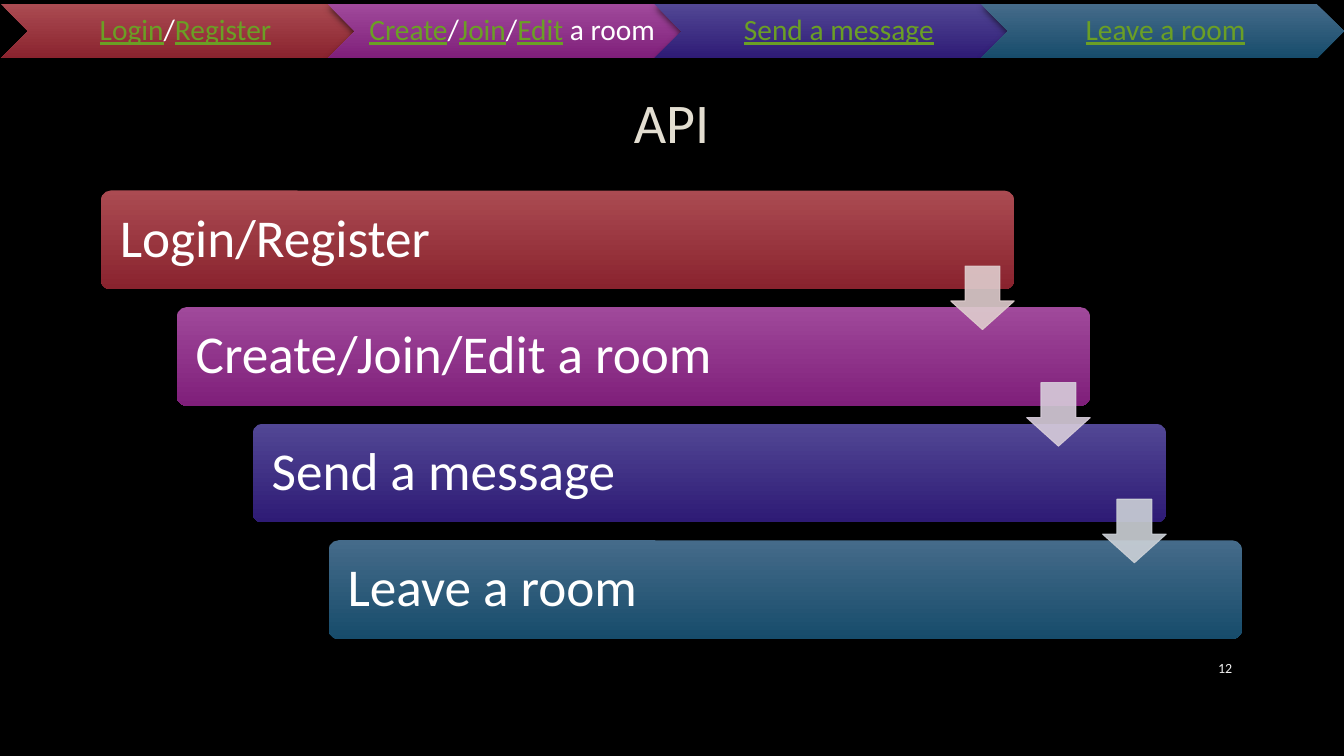
import pptx
import pptx.util
import pptx.dml.color
import pptx.enum.shapes
import pptx.enum.text
import pptx.oxml
import pptx.oxml.ns

Inches, Pt = pptx.util.Inches, pptx.util.Pt
SHAPE = pptx.enum.shapes.MSO_SHAPE
ALIGN = pptx.enum.text.PP_ALIGN
MIDDLE = pptx.enum.text.MSO_ANCHOR.MIDDLE
NS = pptx.oxml.ns.nsdecls("a")

COLORS = {
    "background": "000000", "title": "E3DED1", "outline": "404040",
    "number": "F2F2F2", "text": "FFFFFF", "link": "6B9F25",
}
# label pieces (text, is link), gradient top, gradient bottom, arrow colour
STEPS = [
    ([("Login", True), ("/", False), ("Register", True)],
     "AB4B52", "89232E", "DFCDCE"),
    ([("Create", True), ("/", False), ("Join", True), ("/", False),
      ("Edit", True), (" a room", False)], "A0499B", "7F1F7A", "D8CDDB"),
    ([("Send a message", True)], "524795", "2E1B75", "CCD1D7"),
    ([("Leave a room", True)], "456B8A", "174C6B", None),
]


def rgb(value):
    return pptx.dml.color.RGBColor.from_string(value)


class SlideBuilder:
    font = "Calibri"

    def __init__(self, prs):
        self.slide = prs.slides.add_slide(prs.slide_layouts[5])
        fill = self.slide.background.fill
        fill.solid()
        fill.fore_color.rgb = rgb(COLORS["background"])

    def group(self):
        return self.slide.shapes.add_group_shape().shapes

    def set_text(self, sp, pieces, size, align, insets=(0.1, 0.05, 0.1, 0.05), spacing=1.0):
        """Fill sp with one paragraph of (text, colour, underline) pieces."""
        tf = sp.text_frame
        left, top, right, bottom = map(Inches, insets)
        frame = {"word_wrap": True, "vertical_anchor": MIDDLE, "margin_left": left,
                 "margin_top": top, "margin_right": right, "margin_bottom": bottom}
        for name, value in frame.items():
            setattr(tf, name, value)
        p = tf.paragraphs[0]
        p.alignment, p.line_spacing = align, spacing
        for text, color, underline in pieces:
            r = p.add_run()
            r.text = text
            for name, value in {"name": self.font, "size": Pt(size),
                                "underline": underline}.items():
                setattr(r.font, name, value)
            r.font.color.rgb = rgb(color)
        return p

    def title(self, text, box):
        sp = self.slide.shapes.title
        sp.left, sp.top, sp.width, sp.height = map(Inches, box)
        p = self.set_text(sp, [(text, COLORS["title"], False)], 40, ALIGN.CENTER)
        p.runs[0].font._element.insert(0, pptx.oxml.parse_xml(
            f'<a:ln {NS} w="9525"><a:solidFill><a:srgbClr val="{COLORS["outline"]}">'
            '<a:alpha val="10000"/></a:srgbClr></a:solidFill></a:ln>'))

    def number(self, text, box):
        sp = self.slide.shapes.add_textbox(*map(Inches, box))
        self.set_text(sp, [(text, COLORS["number"], False)], 10, ALIGN.RIGHT)

    def gradient_shape(self, shapes, kind, box, top, bottom):
        sp = shapes.add_shape(kind, *map(Inches, box))
        sp.fill.gradient()
        sp.fill.gradient_angle = 270
        for stop, color, position in zip(sp.fill.gradient_stops, (top, bottom), (0, 1)):
            stop.color.rgb, stop.position = rgb(color), position
        sp.line.fill.background()
        sp._element.spPr.append(pptx.oxml.parse_xml(
            f'<a:effectLst {NS}><a:outerShdw blurRad="63500" dist="25400" dir="5400000" '
            'rotWithShape="0"><a:srgbClr val="000000"><a:alpha val="60000"/></a:srgbClr>'
            '</a:outerShdw></a:effectLst>'))
        return sp

    def bar(self, shapes, text, box, top, bottom):
        sp = self.gradient_shape(shapes, SHAPE.ROUNDED_RECTANGLE, box, top, bottom)
        sp.adjustments[0] = 0.1
        self.set_text(sp, [(text, COLORS["text"], False)], 38, ALIGN.LEFT, [0.16] * 4, 0.9)

    def chevron(self, shapes, pieces, box, top, bottom):
        sp = self.gradient_shape(shapes, SHAPE.CHEVRON, box, top, bottom)
        styled = [(text, COLORS["link" if link else "text"], link) for text, link in pieces]
        self.set_text(sp, styled, 21, ALIGN.CENTER, (0.09, 0.03, 0.03, 0.03), 0.9)

    def arrow(self, shapes, box, color):
        sp = shapes.add_shape(SHAPE.DOWN_ARROW, *map(Inches, box))
        sp.shadow.inherit = False
        sp.adjustments[0], sp.adjustments[1] = 0.55, 0.45
        sp.line.width = Pt(0.75)
        for fill in (sp.fill, sp.line.fill):
            fill.solid()
            fill.fore_color.rgb = rgb(color)
        for clr in sp._element.spPr.iter(pptx.oxml.ns.qn("a:srgbClr")):
            clr.append(pptx.oxml.parse_xml(f'<a:alpha {NS} val="90000"/>'))


def main():
    prs = pptx.Presentation()
    prs.slide_width, prs.slide_height = Inches(13.33), Inches(7.5)
    s = SlideBuilder(prs)
    s.title("API", (1, 0.67, 11.32, 1.06))
    s.number("12", (11.5, 6.43, 0.82, 0.4))

    # The staircase spans the title's width
    left, top, width, height = 1, 1.89, 9.06, 0.98
    gaps = len(STEPS) - 1
    dx, dy = (11.32 - width) / gaps, (4.45 - height) / gaps
    arrow_size = 0.63
    stairs = s.group()
    for i, (pieces, light, dark, _) in enumerate(STEPS):
        label = "".join(text for text, _ in pieces)
        s.bar(stairs, label, (left + i * dx, top + i * dy, width, height), light, dark)
    for i, (*_, color) in enumerate(STEPS[:-1]):
        s.arrow(stairs, (left + width - arrow_size + i * dx, top + 0.75 + i * dy,
                         arrow_size, arrow_size), color)

    navigation = s.group()
    for i, (pieces, light, dark, _) in enumerate(STEPS):
        s.chevron(navigation, pieces, (0.01 + i * 3.24, 0.04, 3.6, 0.54), light, dark)

    prs.save("out.pptx")


if __name__ == "__main__":
    main()
